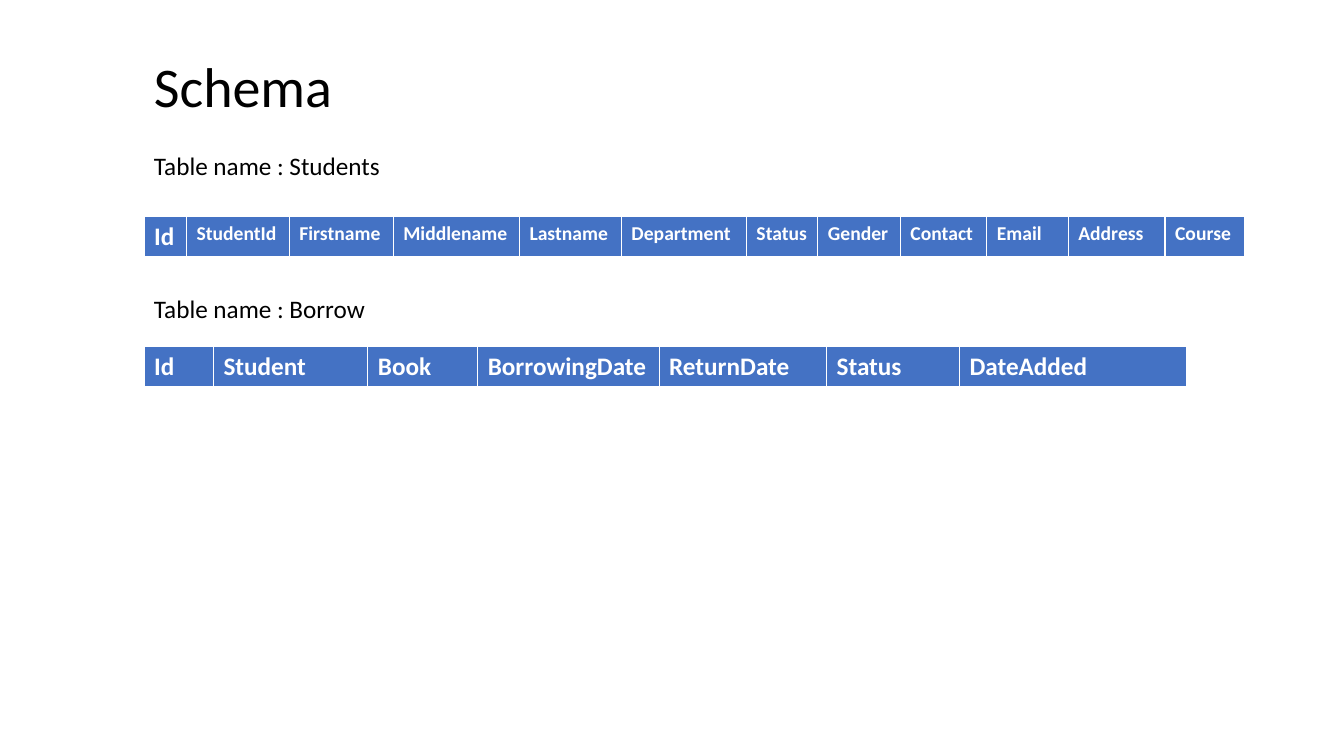
"""Build the schema slide with its two table header rows."""
import pptx
import pptx.dml.color
import pptx.enum.text
import pptx.oxml
import pptx.oxml.ns
import pptx.util

Cm, Pt = pptx.util.Cm, pptx.util.Pt
FONT, BLACK, WHITE, BLUE = "Calibri", "000000", "FFFFFF", "4472C4"
LEFT, ROW_HEIGHT = 3.63, 1.04
STUDENTS_TOP, BORROW_TOP = 5.46, 8.74
BORDERS = {"lnL": 1, "lnR": 1, "lnT": 1, "lnB": 3}

captions = [
    ("Schema", 1.17, 26.24, 1.96, 40),
    ("Table name : Students", 3.66, 16.94, 1.02, 18),
    ("Table name : Borrow", 7.26, 14.81, 1.02, 18),
]
borrow = [("Id", 1.75, 18), ("Student", 3.89, 18), ("Book", 2.77, 18),
          ("BorrowingDate", 4.57, 18), ("ReturnDate", 4.22, 18), ("Status", 9.09, 18)]
borrow_added = [("DateAdded", 5.72, 18)]
students = [("Id", 1.07, 18), ("StudentId", 2.59, 14), ("Firstname", 2.62, 14),
            ("Middlename", 3.18, 14), ("Lastname", 2.57, 14), ("Department", 3.15, 14),
            ("Status", 1.8, 14), ("Gender", 2.08, 14), ("Contact", 2.18, 14),
            ("Email", 3.3, 14)]
students_added = [("Address", 2.44, 14), ("Course", 2.01, 14)]
headers = [
    (LEFT, BORROW_TOP, borrow),
    (24.18, BORROW_TOP, borrow_added),
    (LEFT, STUDENTS_TOP, students),
    (26.92, STUDENTS_TOP, students_added),
]


def rgb(code):
    return pptx.dml.color.RGBColor.from_string(code)


def write(frame, wording, size, color, bold=False):
    run = frame.paragraphs[0].add_run()
    run.text = wording
    run.font.name, run.font.size, run.font.bold = FONT, Pt(size), bold
    run.font.color.rgb = rgb(color)


def add_borders(cell):
    properties = cell._tc.get_or_add_tcPr()
    for side, points in BORDERS.items():
        properties.append(pptx.oxml.parse_xml(
            f'<a:{side} {pptx.oxml.ns.nsdecls("a")} w="{Pt(points)}"><a:solidFill>'
            f'<a:srgbClr val="{WHITE}"/></a:solidFill></a:{side}>'))


def add_caption(slide, wording, top, width, height, size):
    caption = slide.shapes.add_textbox(Cm(LEFT), Cm(top), Cm(width), Cm(height))
    caption.text_frame.word_wrap = True
    caption.text_frame.auto_size = pptx.enum.text.MSO_AUTO_SIZE.SHAPE_TO_FIT_TEXT
    write(caption.text_frame, wording, size, BLACK)


def add_header(slide, left, top, fields):
    total = sum(width for _, width, _ in fields)
    header = slide.shapes.add_table(
        1, len(fields), Cm(left), Cm(top), Cm(total), Cm(ROW_HEIGHT)).table
    for index, (field, width, size) in enumerate(fields):
        header.columns[index].width = Cm(width)
        cell = header.cell(0, index)
        add_borders(cell)
        cell.fill.solid()
        cell.fill.fore_color.rgb = rgb(BLUE)
        write(cell.text_frame, field, size, WHITE, bold=True)


deck = pptx.Presentation()
deck.slide_width, deck.slide_height = Cm(33.87), Cm(19.05)
schema = deck.slides.add_slide(deck.slide_layouts[6])
for caption in captions:
    add_caption(schema, *caption)
for header in headers:
    add_header(schema, *header)
deck.save("out.pptx")
